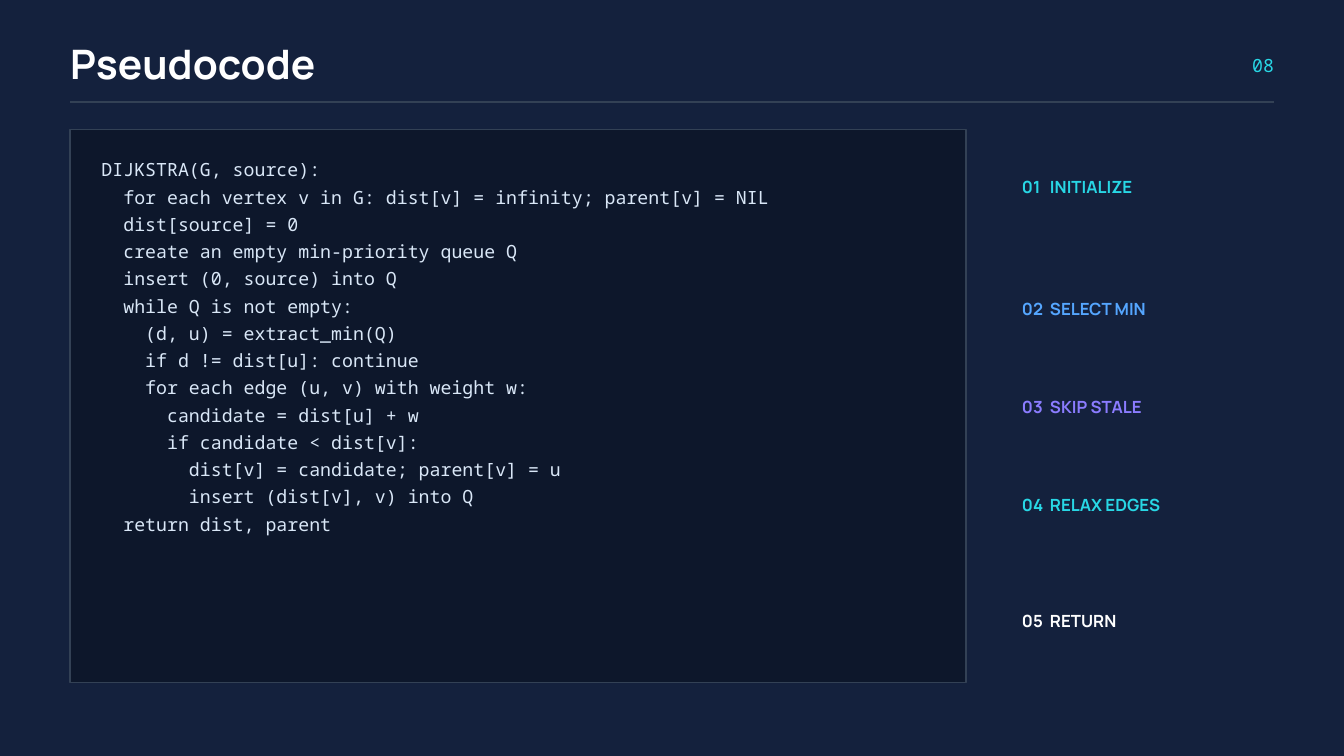
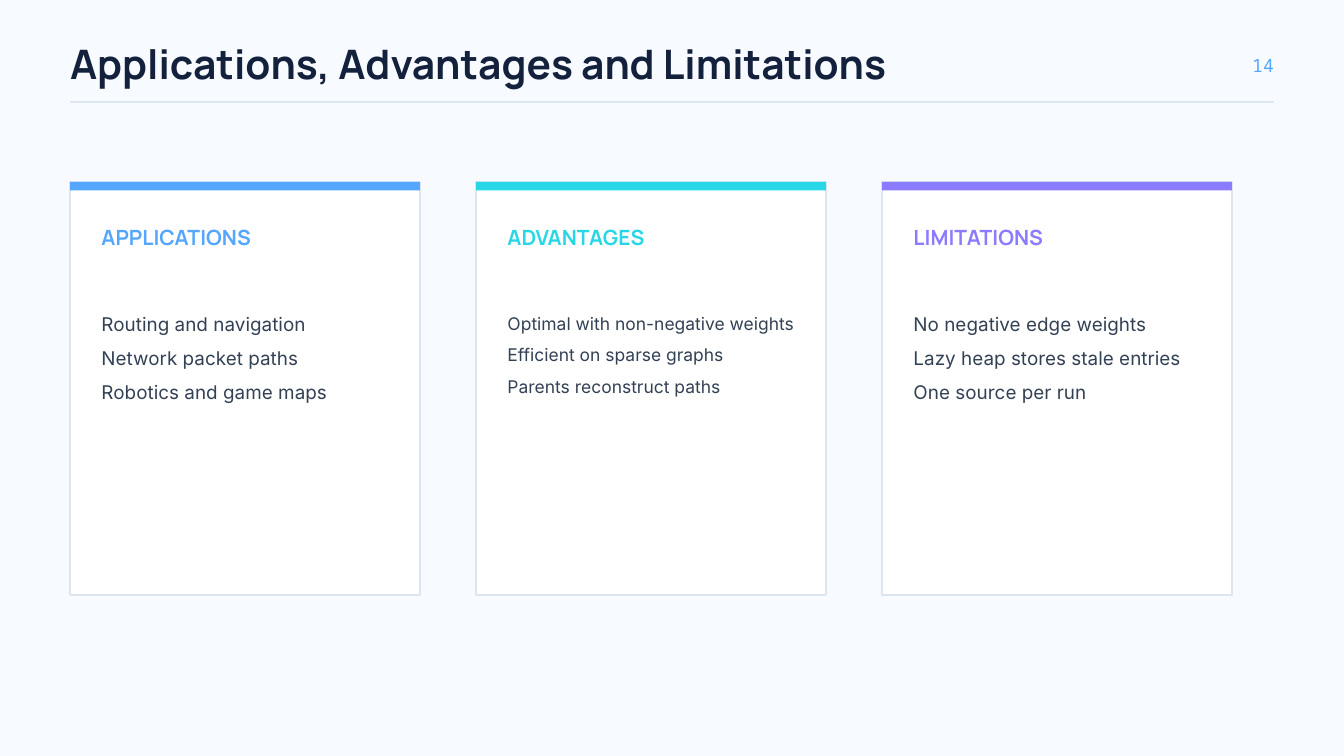
from pptx import Presentation
from pptx.dml.color import RGBColor as RGB
from pptx.enum.shapes import MSO_CONNECTOR as LINE, MSO_SHAPE as SHAPE
from pptx.enum.text import MSO_ANCHOR as ANCHOR, MSO_AUTO_SIZE as AUTO, PP_ALIGN as ALIGN
from pptx.oxml.ns import qn
from pptx.util import Emu, Pt
from lxml.etree import SubElement

PX = 9525
NAVY = RGB(0x14, 0x21, 0x3D)
INK = RGB(0x0D, 0x17, 0x2B)
SLATE = RGB(0x33, 0x41, 0x55)
PALE = RGB(0xD9, 0xE7, 0xF7)
EDGE = RGB(0xDC, 0xE6, 0xF1)
SNOW = RGB(0xF7, 0xFA, 0xFF)
WHITE = RGB(0xFF, 0xFF, 0xFF)
CYAN = RGB(0x28, 0xD7, 0xE5)
BLUE = RGB(0x55, 0xA6, 0xFF)
VIOLET = RGB(0x8B, 0x7C, 0xFF)

HEAD = {"name": "Manrope", "bold": True}
MONO = {"name": "Noto Sans Mono", "bold": False}
BODY = {"name": "Inter", "bold": False}

CODE = """DIJKSTRA(G, source):
  for each vertex v in G: dist[v] = infinity; parent[v] = NIL
  dist[source] = 0
  create an empty min-priority queue Q
  insert (0, source) into Q
  while Q is not empty:
    (d, u) = extract_min(Q)
    if d != dist[u]: continue
    for each edge (u, v) with weight w:
      candidate = dist[u] + w
      if candidate < dist[v]:
        dist[v] = candidate; parent[v] = u
        insert (dist[v], v) into Q
  return dist, parent""".split("\n")

STEPS = [
    ("INITIALIZE", 256, CYAN),
    ("SELECT MIN", 431, BLUE),
    ("SKIP STALE", 571, VIOLET),
    ("RELAX EDGES", 711, CYAN),
    ("RETURN", 876, WHITE),
]

CARDS = [
    ("APPLICATIONS", BLUE, 430, 20.25,
     ["Routing and navigation", "Network packet paths", "Robotics and game maps"]),
    ("ADVANTAGES", CYAN, 432, 18.75,
     ["Optimal with non-negative weights", "Efficient on sparse graphs",
      "Parents reconstruct paths"]),
    ("LIMITATIONS", VIOLET, 430, 20.25,
     ["No negative edge weights", "Lazy heap stores stale entries", "One source per run"]),
]


def px(*nums):
    return [Emu(n * PX) for n in nums]


def write(box, lines, face, size, color, lead=1.05, align=ALIGN.LEFT, tab=None):
    frame = box.text_frame
    form = {"margin_left": 0, "margin_top": 0, "margin_right": 0, "margin_bottom": 0,
            "word_wrap": True, "auto_size": AUTO.SHAPE_TO_FIT_TEXT,
            "vertical_anchor": ANCHOR.TOP}
    for key, val in form.items():
        setattr(frame, key, val)
    for i, line in enumerate(lines):
        para = frame.add_paragraph() if i else frame.paragraphs[0]
        para.text = line
        para.alignment = align
        para.line_spacing = Pt(round(size * lead, 1))
        para.space_before = Pt(0)
        if tab:
            stops = SubElement(para._p.get_or_add_pPr(), qn("a:tabLst"))
            SubElement(stops, qn("a:tab"), pos=str(tab * PX), algn="l")
        font = para.runs[0].font
        for key, val in {**face, "size": Pt(size)}.items():
            setattr(font, key, val)
        font.color.rgb = color


def label(slide, at, *args, **opts):
    write(slide.shapes.add_textbox(*px(*at)), *args, **opts)


def block(slide, at, fill, edge=None):
    rect = slide.shapes.add_shape(SHAPE.RECTANGLE, *px(*at))
    rect.shadow.inherit = False
    rect.fill.solid()
    rect.fill.fore_color.rgb = fill
    if edge:
        rect.line.color.rgb = edge
        rect.line.width = Pt(1.5)
    else:
        rect.line.fill.background()


def start(deck, name, num, back, ink, tint, edge):
    slide = deck.slides.add_slide(deck.slide_layouts[5])
    slide.background.fill.solid()
    slide.background.fill.fore_color.rgb = back
    title = slide.shapes.title
    title.left, title.top, title.width, title.height = px(100, 64, 1500, 66)
    write(title, [name], HEAD, 43.5, ink)
    label(slide, (1740, 72, 80, 35), [num], MONO, 19.5, tint, lead=1.4, align=ALIGN.RIGHT)
    rule = slide.shapes.add_connector(LINE.STRAIGHT, *px(100, 146, 1820, 146))
    rule.line.color.rgb = edge
    rule.line.width = Pt(1.5)
    SubElement(rule._element.spPr, qn("a:effectLst"))
    return slide


def pseudo(deck):
    slide = start(deck, "Pseudocode", "08", NAVY, WHITE, CYAN, SLATE)
    block(slide, (100, 185, 1280, 790), INK, SLATE)
    label(slide, (145, 219, 1200, 544), CODE, MONO, 19.5, PALE, lead=1.5)
    for i, (step, top, color) in enumerate(STEPS, 1):
        label(slide, (1460, top, 330, 28), [f"{i:02}\t{step}"], HEAD, 18, color, tab=40)


def uses(deck):
    slide = start(deck, "Applications, Advantages and Limitations", "14",
                  SNOW, NAVY, BLUE, EDGE)
    wide, gap, pad = 500, 80, 45
    for i, (head, color, top, size, items) in enumerate(CARDS):
        left = 100 + i * (wide + gap)
        inner = wide - 2 * pad
        block(slide, (left, 260, wide, 590), WHITE, EDGE)
        block(slide, (left, 260, wide, 12), color)
        label(slide, (left + pad, 325, inner, 35), [head], HEAD, 22.5, color)
        label(slide, (left + pad, top, inner, 137), items, BODY, size, SLATE, lead=1.8)


def main():
    deck = Presentation()
    deck.slide_width, deck.slide_height = px(1920, 1080)
    pseudo(deck)
    uses(deck)
    deck.save("out.pptx")


if __name__ == "__main__":
    main()
